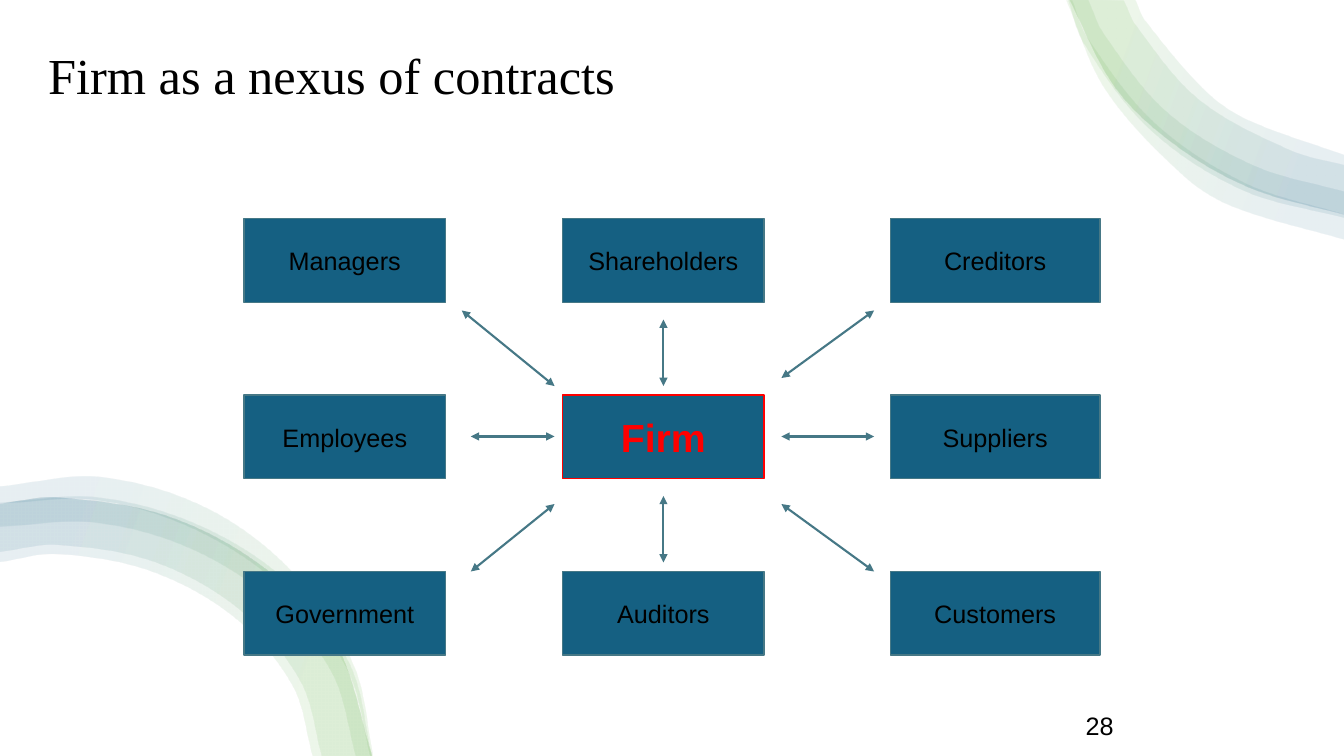
from dataclasses import dataclass
from math import dist

from lxml.etree import SubElement
from pptx import Presentation
from pptx.dml.color import RGBColor
from pptx.enum.shapes import MSO_CONNECTOR, MSO_SHAPE
from pptx.enum.text import MSO_ANCHOR, PP_ALIGN
from pptx.oxml.ns import qn
from pptx.util import Pt

PX = 9144  # 100 px to the inch
BLACK = RGBColor(0x00, 0x00, 0x00)
RED = RGBColor(0xFF, 0x00, 0x00)
GREEN = RGBColor(0x4E, 0xA7, 0x2E)
BLUE = RGBColor(0x15, 0x60, 0x82)
SLATE = RGBColor(0x46, 0x78, 0x86)
RIBBON_STOPS = ((16, GREEN), (85, BLUE))
RIBBON_ALPHA = 10

Point = tuple[float, float]


@dataclass
class Ribbon:
    outer: list[Point]
    inner: list[Point]
    angle: int  # counter-clockwise


@dataclass
class Party:
    name: str
    col: int
    row: int
    preset: MSO_SHAPE = MSO_SHAPE.RECTANGLE
    line: RGBColor = SLATE
    color: RGBColor = BLACK
    size: int = 18
    bold: bool = False


@dataclass
class Arrow:
    x1: int
    y1: int
    x2: int
    y2: int


@dataclass
class Label:
    text: str
    x: int
    y: int
    w: int
    h: int
    size: int
    font: str
    spacing: float = 1.0


# Decorative ribbons: two edges each, as points on a smooth curve
TOP, BOTTOM = 340, 160
TOP_EDGE = [(1061, 0), (1107, 88), (1167, 145), (1241, 187), (1333, 213)]
BOTTOM_EDGE = [(368, 750), (331, 637), (259, 562), (164, 512), (56, 494), (0, 500)]
RIBBONS = [
    Ribbon([(1058, 1), (1097, 90), (1173, 174), (1222, 205), (1333, 238)],
           [(1333, 213), (1235, 182), (1145, 122), (1079, 38), (1064, 1)], TOP),
    Ribbon(TOP_EDGE, [(1333, 154), (1237, 119), (1196, 91), (1136, 21),
                      (1126, 0)], TOP),
    Ribbon([(1060, 1), (1075, 43), (1140, 128), (1231, 188), (1333, 216)],
           [(1333, 190), (1243, 164), (1157, 111), (1095, 34), (1080, 1)], TOP),
    Ribbon(TOP_EDGE, [(1333, 164), (1279, 149), (1189, 99), (1127, 26),
                      (1115, 1)], TOP),
    Ribbon(BOTTOM_EDGE, [(0, 558), (56, 550), (149, 567), (232, 613),
                         (289, 680), (309, 750)], BOTTOM),
    Ribbon(BOTTOM_EDGE, [(0, 548), (56, 541), (153, 558), (238, 606),
                         (297, 676), (318, 750)], BOTTOM),
    Ribbon([(368, 750), (346, 659), (285, 578), (198, 522), (97, 494), (0, 499)],
           [(0, 523), (94, 519), (187, 544), (268, 595), (328, 667),
            (352, 750)], BOTTOM),
    Ribbon([(369, 750), (350, 661), (293, 572), (207, 506), (100, 474), (0, 483)],
           [(0, 500), (97, 497), (195, 527), (280, 584), (343, 664),
            (366, 750)], BOTTOM),
]

# Grid of parties: left and width of each column
COLUMNS = ((242, 200), (558, 200), (883, 208))
ROW_TOP, ROW_STEP, BOX_H = 217, 175, 83
PARTIES = [
    Party("Managers", 0, 0),
    Party("Shareholders", 1, 0),
    Party("Creditors", 2, 0, preset=MSO_SHAPE.FLOWCHART_PROCESS),
    Party("Employees", 0, 1),
    Party("Firm", 1, 1, line=RED, color=RED, size=28, bold=True),
    Party("Suppliers", 2, 1),
    Party("Government", 0, 2),
    Party("Auditors", 1, 2),
    Party("Customers", 2, 2),
]
ARROWS = [
    Arrow(458, 308, 550, 383),
    Arrow(467, 567, 550, 500),
    Arrow(467, 433, 550, 433),
    Arrow(658, 317, 658, 383),
    Arrow(658, 492, 658, 558),
    Arrow(775, 500, 867, 567),
    Arrow(775, 433, 867, 433),
    Arrow(775, 375, 867, 308),
]
LABELS = [
    Label("Firm as a nexus of contracts", 38, 46, 900, 52, 36, "Times New Roman", 0.9),
    Label("28", 1067, 700, 50, 52, 18, "Arial"),
]


def handle(at: Point, before: Point, after: Point, length: float) -> Point:
    """Control point at a length from a point, parallel to its neighbours."""
    k = length / dist(before, after)
    return at[0] + k * (after[0] - before[0]), at[1] + k * (after[1] - before[1])


def bezier(points: list[Point]) -> list[Point]:
    """Two control points and an end point for each step along an edge."""
    padded = [points[0], *points, points[-1]]
    curve = []
    for a, b, c, d in zip(padded, padded[1:], padded[2:], padded[3:]):
        third = dist(b, c) / 3
        curve += [handle(b, a, c, third), handle(c, b, d, -third), c]
    return curve


def draw_ribbon(slide, ribbon: Ribbon) -> None:
    outer, inner = bezier(ribbon.outer), bezier(ribbon.inner)
    vertices = [(x * PX, y * PX) for x, y in outer + ribbon.inner[:1] + inner]
    x, y = ribbon.outer[0]
    builder = slide.shapes.build_freeform(x * PX, y * PX)
    builder.add_line_segments(vertices, close=True)
    sp = builder.convert_to_shape()
    # Turn each run of three line segments into one curve
    lines = list(sp._element.iter(qn("a:lnTo")))
    join = len(outer)
    for edge in (lines[:join], lines[join + 1:]):
        for first, second, last in zip(edge[::3], edge[1::3], edge[2::3]):
            first.tag = qn("a:cubicBezTo")
            for line in (second, last):
                first.append(line[0])
                line.getparent().remove(line)
    sp.shadow.inherit = False
    sp.line.fill.background()
    sp.fill.gradient()
    sp.fill.gradient_angle = ribbon.angle
    stops = sp._element.spPr.find(qn("a:gradFill")).find(qn("a:gsLst"))
    for stop, (pos, color) in zip(sp.fill.gradient_stops, RIBBON_STOPS):
        stop.position = pos / 100
        stop.color.rgb = color
    for rgb in stops.iter(qn("a:srgbClr")):
        SubElement(rgb, qn("a:alpha"), val=str(RIBBON_ALPHA * 1000))


def draw_party(slide, party: Party) -> None:
    x, w = COLUMNS[party.col]
    y = ROW_TOP + party.row * ROW_STEP
    sp = slide.shapes.add_shape(party.preset, x * PX, y * PX, w * PX, BOX_H * PX)
    sp.shadow.inherit = False
    sp.fill.solid()
    sp.fill.fore_color.rgb = BLUE
    sp.line.color.rgb = party.line
    sp.line.width = Pt(1)
    tf = sp.text_frame
    tf.text = party.name
    tf.word_wrap = False
    tf.vertical_anchor = MSO_ANCHOR.MIDDLE
    p = tf.paragraphs[0]
    p.alignment = PP_ALIGN.CENTER
    font = p.runs[0].font
    font.name, font.size, font.bold = "Arial", Pt(party.size), party.bold
    font.color.rgb = party.color


def draw_arrow(slide, arrow: Arrow) -> None:
    line = slide.shapes.add_connector(MSO_CONNECTOR.STRAIGHT, arrow.x1 * PX,
                                      arrow.y1 * PX, arrow.x2 * PX, arrow.y2 * PX)
    line.line.color.rgb = SLATE
    line.line.width = Pt(1.5)
    ln = line.line._get_or_add_ln()
    for end in ("a:headEnd", "a:tailEnd"):
        SubElement(ln, qn(end), type="triangle")
    SubElement(line._element.spPr, qn("a:effectLst"))


def draw_label(slide, label: Label) -> None:
    box = slide.shapes.add_textbox(label.x * PX, label.y * PX, label.w * PX, label.h * PX)
    tf = box.text_frame
    tf.text = label.text
    tf.word_wrap = True
    p = tf.paragraphs[0]
    p.line_spacing = label.spacing
    font = p.runs[0].font
    font.name, font.size = label.font, Pt(label.size)
    font.color.rgb = BLACK


def main() -> None:
    prs = Presentation()
    prs.slide_width, prs.slide_height = 1333 * PX, 750 * PX
    slide = prs.slides.add_slide(prs.slide_layouts[6])
    for items, draw in ((RIBBONS, draw_ribbon), (PARTIES, draw_party),
                        (ARROWS, draw_arrow), (LABELS, draw_label)):
        for item in items:
            draw(slide, item)
    prs.save("out.pptx")


if __name__ == "__main__":
    main()
